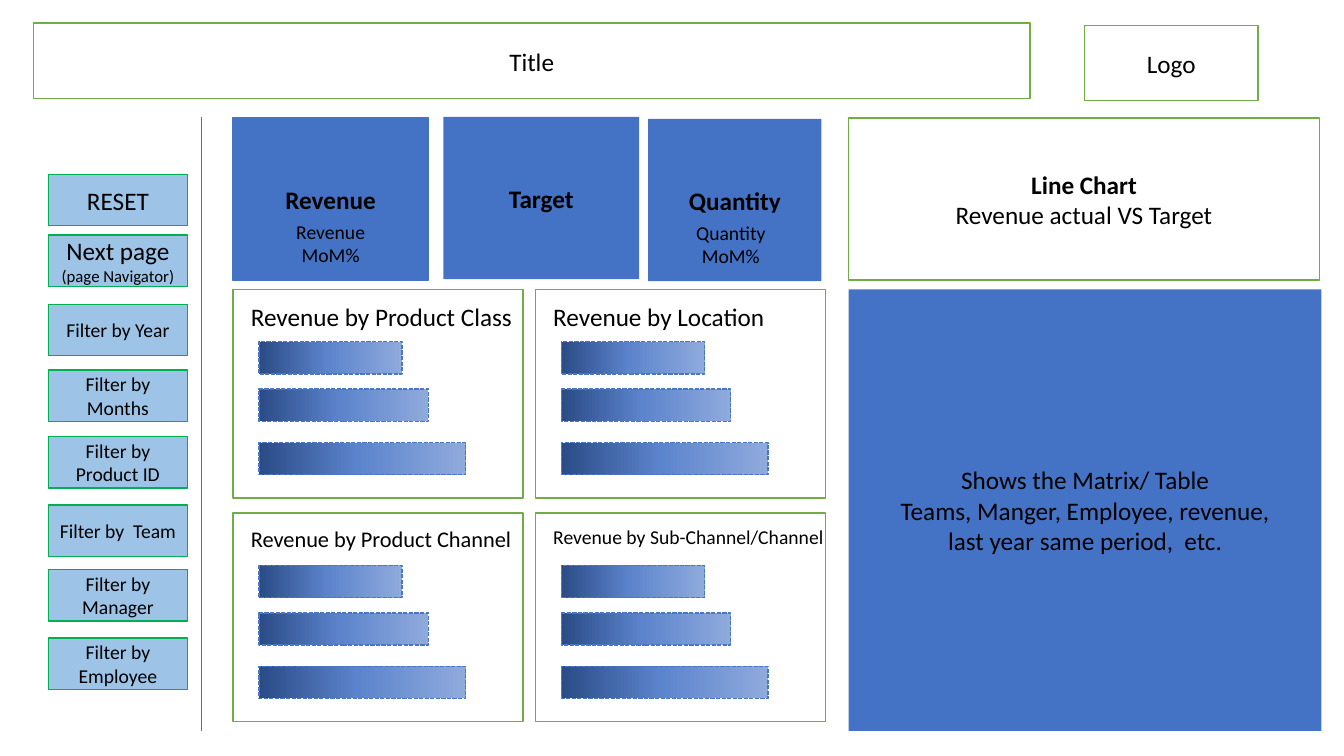
from copy import deepcopy
from dataclasses import dataclass
from itertools import product

from lxml import etree
from pptx import Presentation
from pptx.dml.color import RGBColor
from pptx.enum.dml import MSO_LINE
from pptx.enum.shapes import MSO_CONNECTOR, MSO_SHAPE
from pptx.enum.text import MSO_ANCHOR, MSO_AUTO_SIZE, PP_ALIGN
from pptx.oxml.ns import qn
from pptx.util import Pt

RECTANGLE = MSO_SHAPE.RECTANGLE
STRAIGHT = MSO_CONNECTOR.STRAIGHT
DASH = MSO_LINE.SQUARE_DOT
MIDDLE = MSO_ANCHOR.MIDDLE
CENTER, LEFT = PP_ALIGN.CENTER, PP_ALIGN.LEFT
NO_AUTOFIT = MSO_AUTO_SIZE.NONE

WHITE = RGBColor(0xFF, 0xFF, 0xFF)
BLACK = RGBColor(0x00, 0x00, 0x00)
BLUE = RGBColor(0x44, 0x72, 0xC4)
LIGHT_BLUE = RGBColor(0x9D, 0xC3, 0xE6)
GREEN = RGBColor(0x70, 0xAD, 0x47)
BRIGHT_GREEN = RGBColor(0x00, 0xB0, 0x50)
BAR_LINE = RGBColor(0x4A, 0x76, 0xC6)
BAR_STOPS = (
    (0, RGBColor(0x2A, 0x4B, 0x86)),
    (0.48, RGBColor(0x5C, 0x84, 0xCC)),
    (1, RGBColor(0x8F, 0xAA, 0xDC)),
)
FONT = "Calibri"


@dataclass(frozen=True)
class Line:
    text: str
    size: float = 18
    bold: bool = False


@dataclass(frozen=True)
class Box:
    left: float
    top: float
    width: float
    height: float
    lines: tuple[Line, ...] = ()
    fill: RGBColor = WHITE
    border: RGBColor | None = GREEN


@dataclass(frozen=True)
class Button:
    top: float
    lines: tuple[Line, ...]


CARD_TOP, CARD_HEIGHT = 84.24, 115.92
RIGHT_COLUMN, LOWER_TOP = 606.24, 206.64

HEADER = Box(23.76, 16.56, 712.08, 54, (Line("Title"),))
BOXES = (
    Box(774.72, 18, 123.84, 54, (Line("Logo"),)),
    Box(166.32, CARD_TOP, 139.68, CARD_HEIGHT, (Line("Revenue", bold=True),), BLUE, BLUE),
    Box(316.8, 83.52, 139.68, CARD_HEIGHT, (Line("Target", bold=True),), BLUE, None),
    Box(462.96, 84.96, 123.84, CARD_HEIGHT, (Line("Quantity", bold=True),), BLUE, None),
    Box(185.04, 151.2, 102.24, 44.64, (Line("Revenue MoM%", 14),), BLUE, None),
    Box(470.88, 151.92, 102.24, 44.64, (Line("Quantity MoM%", 14),), BLUE, None),
    Box(RIGHT_COLUMN, CARD_TOP, 336.24, CARD_HEIGHT,
        (Line("Line Chart", bold=True), Line("Revenue actual VS Target"))),
    Box(RIGHT_COLUMN, LOWER_TOP, 337.68, 315.36,
        (Line("Shows the Matrix/ Table"),
         Line("Teams, Manger, Employee, revenue,"),
         Line("last year same period,  etc.")), BLUE, None),
)
BUTTONS = (
    Button(124.56, (Line("RESET"),)),
    Button(167.76, (Line("Next page"), Line("(page Navigator)", 12))),
    Button(217.44, (Line("Filter by Year", 14),)),
    Button(264.24, (Line("Filter by Months", 14),)),
    Button(311.76, (Line("Filter by Product ID", 14),)),
    Button(360.72, (Line("Filter by  Team", 14),)),
    Button(406.8, (Line("Filter by Manager", 14),)),
    Button(455.76, (Line("Filter by Employee", 14),)),
)
PANEL_COLUMNS = (166.32, 382.32)
PANEL_ROWS = (LOWER_TOP, 366.48)
PANEL_WIDTH, PANEL_HEIGHT = 207.36, 149.04
PANEL_TITLE_WIDTH = 212
PANEL_TITLES = (
    Line("Revenue by Product Class"),
    Line("Revenue by Location"),
    Line("Revenue by Product Channel", 16),
    Line("Revenue by Sub-Channel/Channel", 14),
)
BARS = ((37.44, 102.24), (71.28, 120.96), (109.44, 147.6))  # top within panel, width


def write_lines(shape, lines: tuple[Line, ...], alignment=CENTER) -> None:
    frame = shape.text_frame
    frame.word_wrap = True
    for index, line in enumerate(lines):
        paragraph = frame.add_paragraph() if index else frame.paragraphs[0]
        paragraph.text = line.text
        paragraph.alignment = alignment
        paragraph.font.name = FONT
        paragraph.font.size = Pt(line.size)
        paragraph.font.bold = line.bold
        paragraph.font.color.rgb = BLACK


def format_box(shape, box: Box) -> None:
    shape.fill.solid()
    shape.fill.fore_color.rgb = box.fill
    if box.border is None:
        shape.line.fill.background()
    else:
        shape.line.color.rgb = box.border
        shape.line.width = Pt(1)
    shape.text_frame.vertical_anchor = MIDDLE
    write_lines(shape, box.lines)


def add_rectangle(slide, left: float, top: float, width: float, height: float):
    shape = slide.shapes.add_shape(RECTANGLE, Pt(left), Pt(top), Pt(width), Pt(height))
    shape.shadow.inherit = False
    return shape


def add_box(slide, box: Box) -> None:
    format_box(add_rectangle(slide, box.left, box.top, box.width, box.height), box)


def add_bar(slide, left: float, top: float, width: float) -> None:
    bar = add_rectangle(slide, left, top, width, 23.04)
    bar.fill.gradient()
    bar.fill.gradient_angle = 0
    stop_list = bar._element.spPr.find(qn("a:gradFill")).find(qn("a:gsLst"))
    stop_list.insert(1, deepcopy(stop_list[0]))
    for stop, (position, color) in zip(bar.fill.gradient_stops, BAR_STOPS):
        stop.position = position
        stop.color.rgb = color
    bar.line.color.rgb = BAR_LINE
    bar.line.width = Pt(1)
    bar.line.dash_style = DASH


def add_panel(slide, left: float, top: float, title: Line) -> None:
    add_box(slide, Box(left, top, PANEL_WIDTH, PANEL_HEIGHT))
    for bar_top, width in BARS:
        add_bar(slide, left + 18.72, top + bar_top, width)
    label = slide.shapes.add_textbox(
        Pt(left + 5.76), Pt(top + 5.04), Pt(PANEL_TITLE_WIDTH), Pt(28.8))
    write_lines(label, (title,), LEFT)


def add_header(slide) -> None:
    title = slide.shapes.title
    title.left, title.top = Pt(HEADER.left), Pt(HEADER.top)
    title.width, title.height = Pt(HEADER.width), Pt(HEADER.height)
    title.text_frame.auto_size = NO_AUTOFIT
    format_box(title, HEADER)


def add_divider(slide) -> None:
    divider = slide.shapes.add_connector(STRAIGHT, Pt(144), Pt(83.52), Pt(144), Pt(522))
    divider.line.color.rgb = BLUE
    divider.line.width = Pt(0.5)
    etree.SubElement(divider._element.spPr, qn("a:effectLst"))


def main() -> None:
    presentation = Presentation()
    presentation.slide_width, presentation.slide_height = Pt(960), Pt(540)
    slide = presentation.slides.add_slide(presentation.slide_layouts[5])
    add_header(slide)
    for box in BOXES:
        add_box(slide, box)
    for (top, left), title in zip(product(PANEL_ROWS, PANEL_COLUMNS), PANEL_TITLES):
        add_panel(slide, left, top, title)
    for button in BUTTONS:
        add_box(slide, Box(34.56, button.top, 99.36, 36.72, button.lines, LIGHT_BLUE, BRIGHT_GREEN))
    add_divider(slide)
    presentation.save("out.pptx")


if __name__ == "__main__":
    main()
